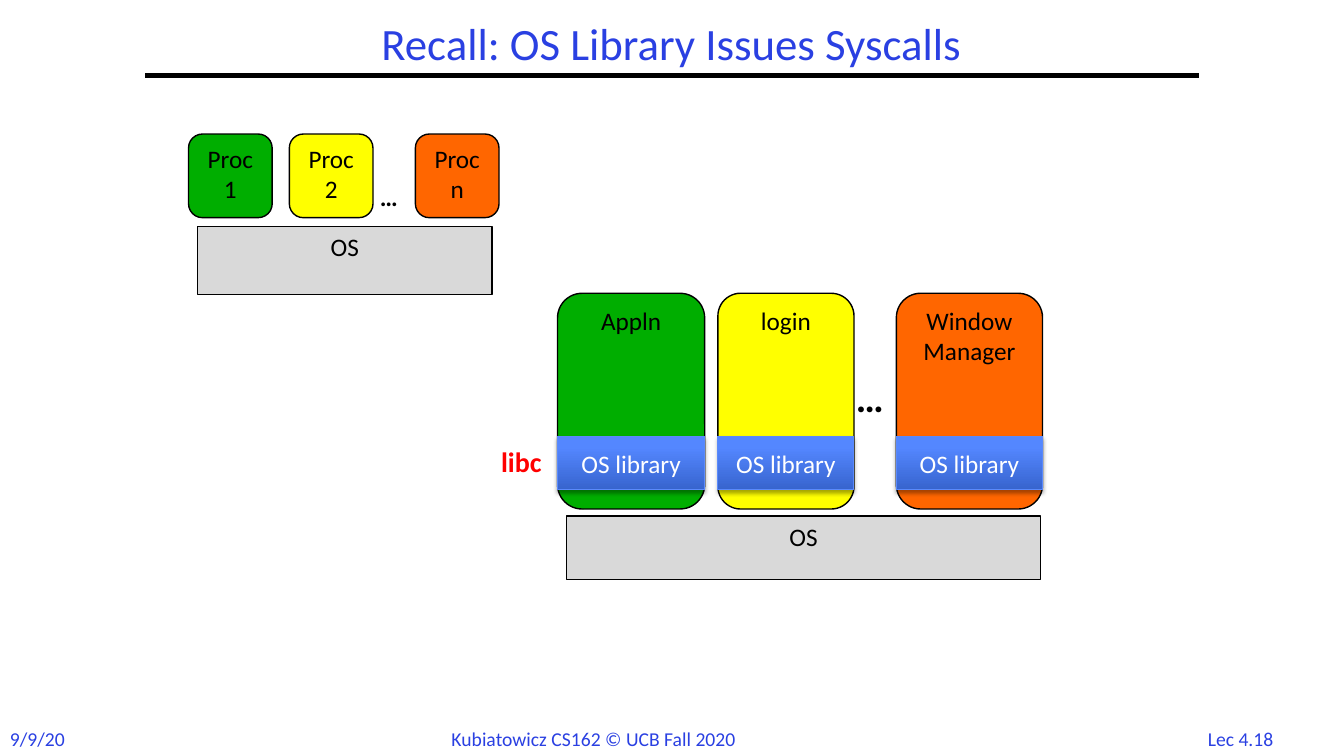
import copy

import lxml.etree
import pptx
import pptx.dml.color
import pptx.enum.shapes
import pptx.enum.text
import pptx.oxml
import pptx.oxml.ns
import pptx.util

Inches = pptx.util.Inches
Pt = pptx.util.Pt
rgb = pptx.dml.color.RGBColor.from_string
qn = pptx.oxml.ns.qn
MSO = pptx.enum.shapes.MSO_SHAPE
ALIGN = pptx.enum.text.PP_ALIGN
ANCHOR = pptx.enum.text.MSO_ANCHOR

BLUE, BLACK, GRAY = "2A40E2", "000000", "D9D9D9"
GREEN, YELLOW, ORANGE = "00AE00", "FFFF00", "FF6600"

prs = pptx.Presentation()
prs.slide_width = Inches(13.33)
prs.slide_height = Inches(7.5)
s = prs.slides.add_slide(prs.slide_layouts[6])


def write(sp, text, size=18, color=BLACK, align=ALIGN.CENTER,
          bold=False, wrap=True, anchor=ANCHOR.TOP):
    tf = sp.text_frame
    tf.word_wrap = wrap
    tf.vertical_anchor = anchor
    p = tf.paragraphs[0]
    p.text = text
    p.alignment = align
    p.font.name = "Calibri"
    p.font.size = Pt(size)
    p.font.bold = bold
    p.font.color.rgb = rgb(color)
    return p


def add_box(kind, x, y, w, h, text, fill):
    sp = s.shapes.add_shape(kind, Inches(x), Inches(y), Inches(w), Inches(h))
    sp.shadow.inherit = False
    sp.fill.solid()
    sp.fill.fore_color.rgb = rgb(fill)
    sp.line.color.rgb = rgb(BLACK)
    sp.line.width = Pt(1)
    write(sp, text)
    return sp


footers = [
    (11.82, 0.97, "Lec 4.18", ALIGN.CENTER),
    (0, 0.75, "9/9/20", ALIGN.LEFT),
    (4.38, 3.43, "Kubiatowicz CS162 © UCB Fall 2020", ALIGN.LEFT),
]
for x, w, text, align in footers:
    sp = s.shapes.add_textbox(Inches(x), Inches(7.16), Inches(w), Inches(0.34))
    write(sp, text, 14, BLUE, align, wrap=False)

rule = s.shapes.add_connector(
    pptx.enum.shapes.MSO_CONNECTOR.STRAIGHT,
    Inches(1.44), Inches(0.75), Inches(11.89), Inches(0.75))
rule.line.color.rgb = rgb(BLACK)
rule.line.width = Pt(3)
lxml.etree.SubElement(rule._element.spPr, qn("a:effectLst"))

title = s.shapes.add_textbox(Inches(1.44), Inches(0.17), Inches(10.44), Inches(0.58))
p = write(title, "Recall: OS Library Issues Syscalls", 32, BLUE, anchor=ANCHOR.MIDDLE)
p.line_spacing = 0.9

add_box(MSO.RECTANGLE, 1.96, 2.25, 2.92, 0.67, "OS", GRAY)
for x, text, fill in [(1.87, "Proc 1", GREEN), (2.87, "Proc 2", YELLOW),
                      (4.12, "Proc n", ORANGE)]:
    add_box(MSO.ROUNDED_RECTANGLE, x, 1.33, 0.83, 0.83, text, fill)

add_box(MSO.RECTANGLE, 5.62, 5.12, 4.7, 0.63, "OS", GRAY)
apps = [
    (5.53, 1.46, "Appln", GREEN),
    (7.12, 1.35, "login", YELLOW),
    (8.89, 1.45, "Window Manager", ORANGE),
]
for x, w, text, fill in apps:
    add_box(MSO.ROUNDED_RECTANGLE, x, 2.91, w, 2.14, text, fill)

    lib = add_box(MSO.RECTANGLE, x, 4.33, w, 0.53, "OS library", BLUE)
    write(lib, "OS library", color="FFFFFF", anchor=ANCHOR.MIDDLE)
    lib.line.color.rgb = rgb("5B8AFB")
    lib.line.width = Pt(0.75)
    lib.fill.gradient()
    lib.fill.gradient_angle = 90
    stops = lib._element.spPr.find(".//" + qn("a:gsLst"))
    stops.append(copy.deepcopy(stops[-1]))
    for stop, (position, color) in zip(
            lib.fill.gradient_stops,
            [(0, "3764CE"), (0.8, "5487FF"), (1, "5688FF")]):
        stop.position = position
        stop.color.rgb = rgb(color)
    effects = lib._element.spPr.find(qn("a:effectLst"))
    shadow = lxml.etree.SubElement(
        effects, qn("a:outerShdw"), blurRad=str(Pt(3.1)), dist=str(Pt(1.8)),
        dir="5400000", rotWithShape="0")
    shade = lxml.etree.SubElement(shadow, qn("a:srgbClr"), val=BLACK)
    lxml.etree.SubElement(shade, qn("a:alpha"), val="35000")

labels = [
    (3.67, 1.75, 0.45, 0.4, "…", 18, BLACK, ALIGN.LEFT),
    (8.39, 3.65, 0.65, 0.57, "…", 28, BLACK, ALIGN.LEFT),
    (4.79, 4.36, 0.68, 0.44, "libc", 20, "FF0000", ALIGN.RIGHT),
]
for x, y, w, h, text, size, color, align in labels:
    sp = s.shapes.add_textbox(Inches(x), Inches(y), Inches(w), Inches(h))
    write(sp, text, size, color, align, bold=True, wrap=False)

prs.save("out.pptx")
